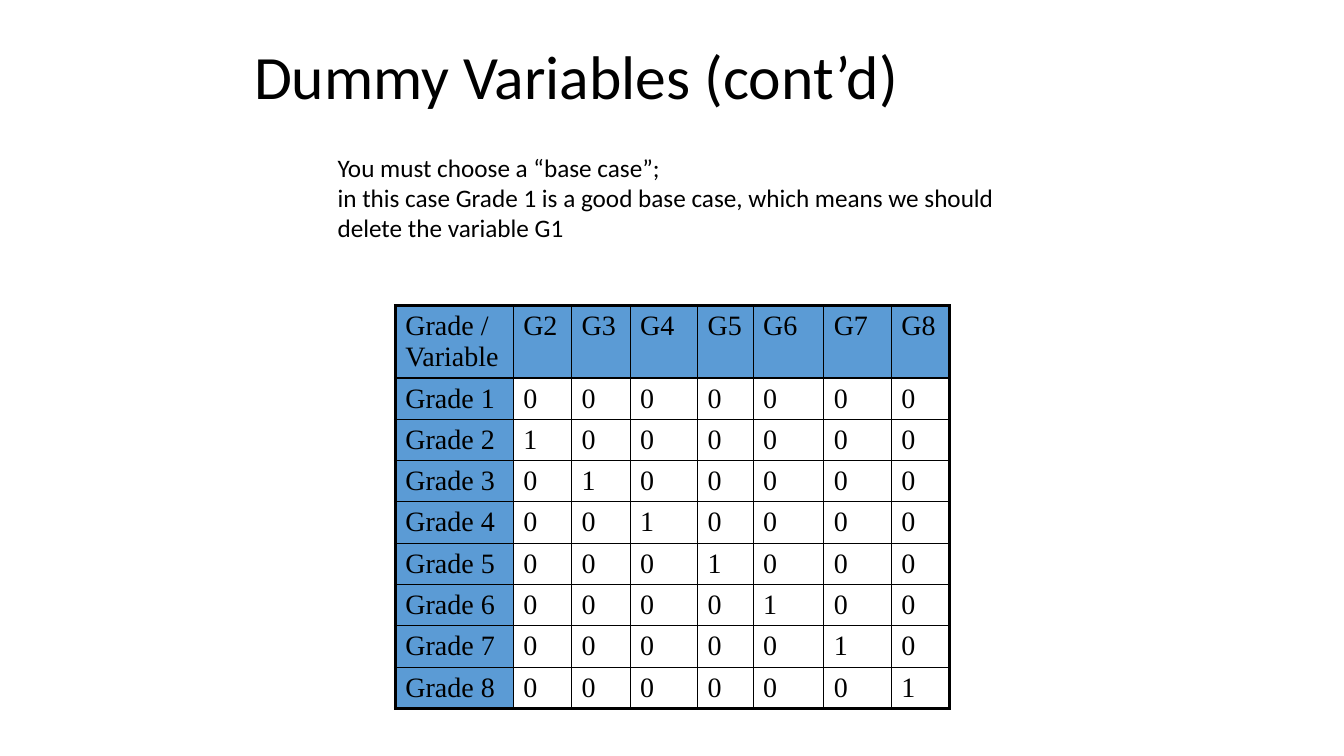
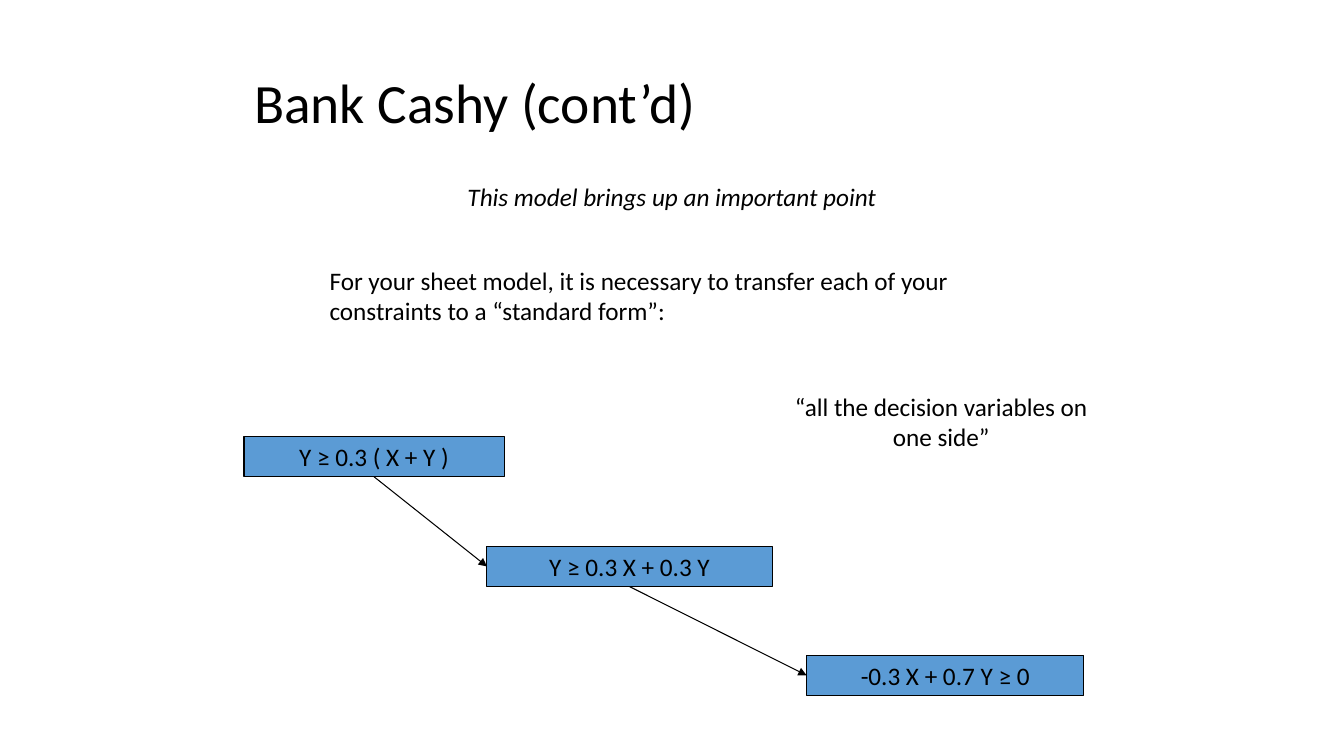
"""Build two lecture slides: a dummy-variable table and a constraint rewriting."""
from dataclasses import dataclass

from lxml import etree
from pptx import Presentation
from pptx import util as u
from pptx.dml import color
from pptx.enum import shapes, text
from pptx.oxml import ns


@dataclass(frozen=True)
class Theme:
    """Colours, fonts, type sizes and line widths shared by the slides."""
    ink: str = "000000"
    accent: str = "5B9BD5"
    body_font: str = "Calibri"
    table_font: str = "Times New Roman"
    title_size: float = 44
    small_title_size: float = 39.6
    body_size: float = 18
    table_size: float = 20
    box_line: float = 0.75
    inner_border: float = 1
    outer_border: float = 2.25


THEME = Theme()
LEFT, CENTER = text.PP_ALIGN.LEFT, text.PP_ALIGN.CENTER
TOP, MIDDLE = text.MSO_ANCHOR.TOP, text.MSO_ANCHOR.MIDDLE


def rgb(value):
    """Turn a hex string into a colour."""
    return color.RGBColor.from_string(value)


def inches(*lengths):
    """Convert several numbers to lengths."""
    return [u.Inches(length) for length in lengths]


def write(frame, content, *, size=THEME.body_size, font=THEME.body_font,
          align=LEFT, italic=False, spacing=1.0):
    """Fill a text frame, one paragraph per line of content."""
    frame.word_wrap = True
    frame.text = content
    for paragraph in frame.paragraphs:
        paragraph.alignment = align
        paragraph.line_spacing = spacing
        paragraph.font.size = u.Pt(size)
        paragraph.font.name = font
        paragraph.font.italic = italic
        paragraph.font.bold = False
        paragraph.font.color.rgb = rgb(THEME.ink)


def add_titled_slide(deck, title, top, height, size):
    """Add a title-only slide with a left-aligned title."""
    slide = deck.slides.add_slide(deck.slide_layouts[5])
    heading = slide.shapes.title
    heading.left, heading.top, heading.width, heading.height = inches(
        2.42, top, 8.5, height)
    write(heading.text_frame, title, size=size, spacing=0.9)
    heading.text_frame.auto_size = text.MSO_AUTO_SIZE.NONE
    heading.text_frame.vertical_anchor = MIDDLE
    return slide


def add_note(slide, content, place, **style):
    """Add a plain text box."""
    note = slide.shapes.add_textbox(*inches(*place))
    write(note.text_frame, content, **style)
    note.text_frame.vertical_anchor = TOP


def add_formula(slide, formula, left, top, width):
    """Add a filled box holding one constraint."""
    box = slide.shapes.add_shape(shapes.MSO_SHAPE.RECTANGLE,
                                 *inches(left, top, width, 0.4))
    box.shadow.inherit = False
    box.fill.solid()
    box.fill.fore_color.rgb = rgb(THEME.accent)
    box.line.color.rgb = rgb(THEME.ink)
    box.line.width = u.Pt(THEME.box_line)
    write(box.text_frame, formula, align=CENTER)
    return box


def add_arrow(slide, source, target):
    """Link the bottom of one box to the left side of the next."""
    arrow = slide.shapes.add_connector(shapes.MSO_CONNECTOR.STRAIGHT, 0, 0, 0, 0)
    arrow.begin_connect(source, 2)
    arrow.end_connect(target, 1)
    arrow.line.color.rgb = rgb(THEME.ink)
    arrow.line.width = u.Pt(THEME.box_line)
    etree.SubElement(arrow.line._get_or_add_ln(), ns.qn("a:tailEnd"),
                     type="triangle")
    etree.SubElement(arrow._element.spPr, ns.qn("a:effectLst"))


def set_borders(cell, outer_sides):
    """Draw all four borders of a cell, thicker on the outer sides."""
    properties = cell._tc.get_or_add_tcPr()
    for side in "LRTB":
        width = THEME.outer_border if side in outer_sides else THEME.inner_border
        border = etree.SubElement(properties, ns.qn(f"a:ln{side}"),
                                  w=str(u.Pt(width)))
        fill = etree.SubElement(border, ns.qn("a:solidFill"))
        etree.SubElement(fill, ns.qn("a:srgbClr"), val=THEME.ink)


def add_grid(slide, rows, left, top, column_widths, row_heights):
    """Add a table with a filled header row and header column."""
    frame = slide.shapes.add_table(
        len(rows), len(column_widths),
        *inches(left, top, sum(column_widths), sum(row_heights)))
    grid = frame.table
    grid.first_row = grid.horz_banding = False
    for column, width in zip(grid.columns, column_widths):
        column.width = u.Inches(width)
    for row, height in zip(grid.rows, row_heights):
        row.height = u.Inches(height)
    last_row, last_column = len(rows) - 1, len(column_widths) - 1
    for r, values in enumerate(rows):
        for c, value in enumerate(values):
            cell = grid.cell(r, c)
            write(cell.text_frame, value, size=THEME.table_size,
                  font=THEME.table_font)
            edges = {"L": c == 0, "R": c == last_column,
                     "T": r == 0, "B": r == last_row}
            set_borders(cell, [side for side, outer in edges.items() if outer])
            if r == 0 or c == 0:
                cell.fill.solid()
                cell.fill.fore_color.rgb = rgb(THEME.accent)
            else:
                cell.fill.background()


def build_dummy_variables(deck):
    """Show the dummy variables left after choosing a base case."""
    slide = add_titled_slide(deck, "Dummy Variables (cont’d)", 0.33, 0.92,
                             THEME.title_size)
    variables = range(2, 9)
    rows = [["Grade / Variable"] + [f"G{v}" for v in variables]]
    rows += [[f"Grade {grade}"] + [str(int(grade == v)) for v in variables]
             for grade in range(1, 9)]
    add_grid(slide, rows, 3.92, 3.03,
             [1.17, 0.58, 0.58, 0.67, 0.55, 0.7, 0.67, 0.58],
             [0.72] + [0.41] * 8)
    add_note(slide, "You must choose a “base case”;\n"
             "in this case Grade 1 is a good base case, which means we should "
             "delete the variable G1", (3.25, 1.46, 6.92, 1.01))


def build_standard_form(deck):
    """Show a constraint rewritten step by step into standard form."""
    slide = add_titled_slide(deck, "Bank Cashy (cont’d)", 0.67, 0.75,
                             THEME.small_title_size)
    add_note(slide, "This model brings up an important point",
             (3.08, 1.75, 7.17, 0.4), align=CENTER, italic=True)
    add_note(slide, "For your sheet model, it is necessary to transfer each of "
             "your constraints to a “standard form”:", (3.17, 2.58, 7, 0.71))
    steps = [add_formula(slide, *step) for step in (
        ("Y ≥ 0.3 ( X + Y )", 2.42, 4.33, 2.58),
        ("Y ≥ 0.3 X + 0.3 Y", 4.83, 5.42, 2.83),
        ("-0.3 X + 0.7 Y ≥ 0", 8, 6.5, 2.75))]
    for source, target in zip(steps, steps[1:]):
        add_arrow(slide, source, target)
    add_note(slide, "“all the decision variables on one side”",
             (7.75, 3.83, 3.17, 0.71), align=CENTER)


def main():
    """Build and save the deck."""
    deck = Presentation()
    deck.slide_width, deck.slide_height = inches(13.33, 7.5)
    build_dummy_variables(deck)
    build_standard_form(deck)
    deck.save("out.pptx")


if __name__ == "__main__":
    main()
